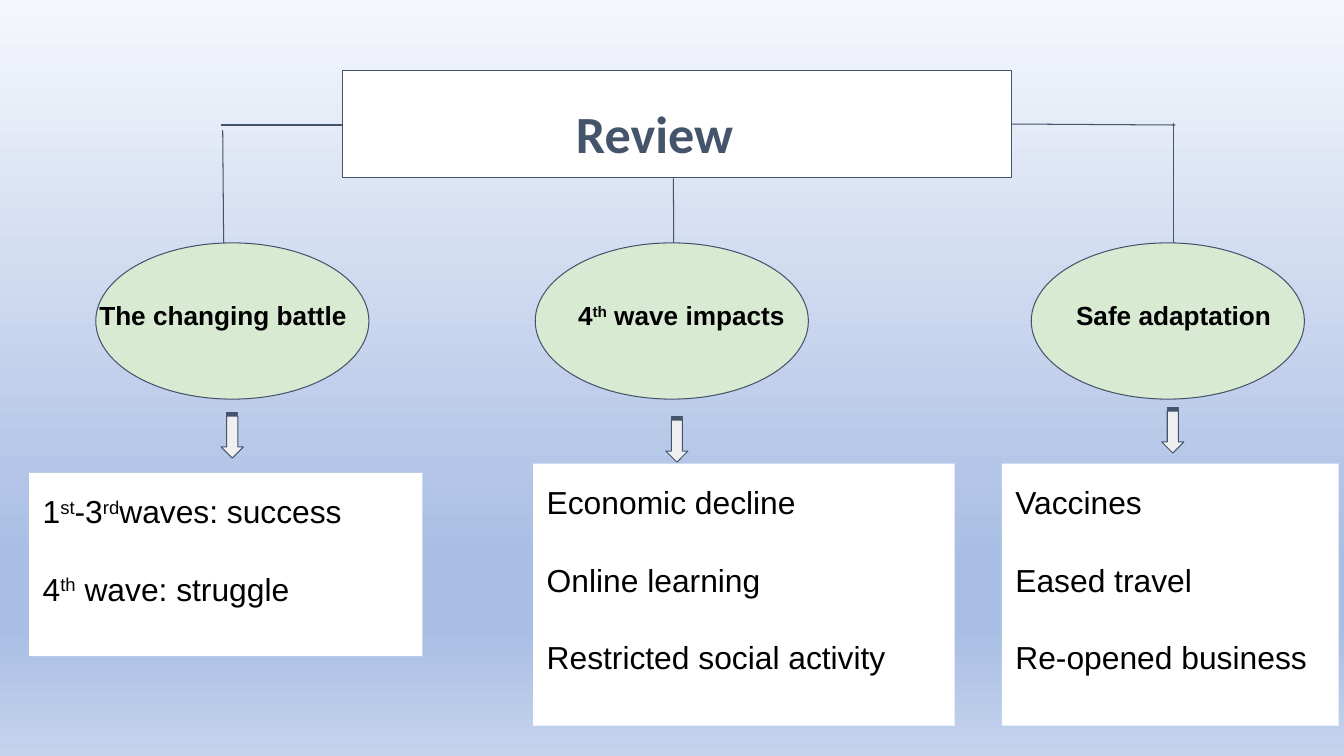
from lxml import etree
from pptx import Presentation
from pptx import util as u
from pptx.dml.color import RGBColor
from pptx.enum import shapes, text
from pptx.oxml.ns import qn

SLATE = RGBColor(0x44, 0x54, 0x6A)
GREEN = RGBColor(0xD9, 0xEA, 0xD3)
GREY = RGBColor(0xEF, 0xEF, 0xEF)
WHITE = RGBColor(0xFF, 0xFF, 0xFF)
BLACK = RGBColor(0, 0, 0)
BACKDROP = [(0, "F5F7FC"), (74, "A9BEE4"), (83, "A9BEE4"), (100, "C5D3ED")]


class Diagram:
    """Holds the current slide and draws its elements; lengths are points."""

    line_width = 0.75

    def __init__(self, slide):
        self.slide = slide

    def backdrop(self, stops):
        fill = self.slide.background.fill
        fill.gradient()
        fill.gradient_angle = 270
        stop_list = next(self.slide.element.iter(qn("a:gsLst")))
        for stop in list(stop_list):
            stop_list.remove(stop)
        for percent, colour in stops:
            stop = etree.SubElement(stop_list, qn("a:gs"), pos=str(percent * 1000))
            etree.SubElement(stop, qn("a:srgbClr"), val=colour)

    def shape(self, kind, left, top, width, height, fill, outlined=True):
        shape = self.slide.shapes.add_shape(
            kind, u.Pt(left), u.Pt(top), u.Pt(width), u.Pt(height))
        shape.shadow.inherit = False
        shape.fill.solid()
        shape.fill.fore_color.rgb = fill
        if outlined:
            shape.line.color.rgb = SLATE
            shape.line.width = u.Pt(self.line_width)
        else:
            shape.line.fill.background()
        return shape

    def line(self, x1, y1, x2, y2):
        line = self.slide.shapes.add_connector(
            shapes.MSO_CONNECTOR.STRAIGHT, u.Pt(x1), u.Pt(y1), u.Pt(x2), u.Pt(y2))
        line.line.color.rgb = SLATE
        line.line.width = u.Pt(self.line_width)
        etree.SubElement(line._element.spPr, qn("a:effectLst"))

    def arrow(self, centre, middle, length=32.4, thickness=15.84):
        arrow = self.shape(shapes.MSO_SHAPE.STRIPED_RIGHT_ARROW,
                           centre - length / 2, middle - thickness / 2,
                           length, thickness, GREY)
        arrow.rotation = 90

    def label(self, left, top, width, height):
        return self.slide.shapes.add_textbox(
            u.Pt(left), u.Pt(top), u.Pt(width), u.Pt(height))

    def set_text(self, shape, lines, size, align, font="Arial", colour=BLACK,
                 bold=False, inset=(9.6, 9.6), spacing=None, gap=0):
        """Fill a shape with paragraphs; text between ^ marks is superscript."""
        frame = shape.text_frame
        frame.word_wrap = True
        frame.vertical_anchor = text.MSO_ANCHOR.TOP
        frame.margin_left = frame.margin_right = u.Pt(inset[0])
        frame.margin_top = frame.margin_bottom = u.Pt(inset[1])
        for number, words in enumerate(lines):
            paragraph = frame.add_paragraph() if number else frame.paragraphs[0]
            paragraph.alignment = align
            if spacing:
                paragraph.line_spacing = spacing
            if number:
                paragraph.space_before = u.Pt(gap)
            for part, piece in enumerate(words.split("^")):
                run = paragraph.add_run()
                run.text = piece
                if part % 2:
                    run._r.get_or_add_rPr().set("baseline", "30000")
            paragraph.font.name = font
            paragraph.font.size = u.Pt(size)
            paragraph.font.bold = bold
            paragraph.font.color.rgb = colour


# topic, ellipse left, label left, arrow centre and middle, points box, points
BRANCHES = [
    ("The changing battle ", 68.4, 48.24, (165.9, 311), (20.9, 337.7, 280.8, 131),
     ["1^st^-3^rd^waves: success", "4^th^ wave: struggle"]),
    ("4^th^ wave impacts", 382.3, 372.96, (483.5, 313.9), (380.9, 331.2, 301, 187.2),
     ["Economic decline", "Online learning", "Restricted social activity"]),
    ("Safe adaptation ", 736.6, 727.2, (837.7, 307.4), (715.7, 331.2, 240.5, 187.2),
     ["Vaccines", "Eased travel", "Re-opened business"]),
]
BRANCH_LINES = [
    (157.7, 89.3, 244.8, 89.3), (159.1, 92.9, 159.8, 178.6),
    (839.5, 89.3, 722.2, 88.6), (838.1, 251.3, 838.1, 87.8),
    (481, 127.4, 481.7, 259.2),
]


def main():
    deck = Presentation()
    deck.slide_width, deck.slide_height = u.Pt(960), u.Pt(540)
    diagram = Diagram(deck.slides.add_slide(deck.slide_layouts[6]))
    diagram.backdrop(BACKDROP)

    diagram.shape(shapes.MSO_SHAPE.RECTANGLE, 244.8, 50.4, 478, 76.7, WHITE)
    diagram.set_text(diagram.label(401.8, 56.2, 193, 71.3), ["Review"], 37.3,
                     text.PP_ALIGN.LEFT, "Calibri", SLATE, bold=True, spacing=1.15)
    for ends in BRANCH_LINES:
        diagram.line(*ends)

    for topic, ellipse_left, label_left, arrow, box, points in BRANCHES:
        diagram.shape(shapes.MSO_SHAPE.OVAL, ellipse_left, 173.5, 195.1, 111.6, GREEN)
        diagram.arrow(*arrow)
        card = diagram.shape(shapes.MSO_SHAPE.RECTANGLE, *box, WHITE, outlined=False)
        diagram.set_text(card, points, 22.7, text.PP_ALIGN.JUSTIFY, spacing=1.15, gap=24)
        diagram.set_text(diagram.label(label_left + 1.4, 210.2, 224.6, 30.2), [topic],
                         18.7, text.PP_ALIGN.CENTER, bold=True, inset=(7.2, 3.6))

    deck.save("out.pptx")


if __name__ == "__main__":
    main()
